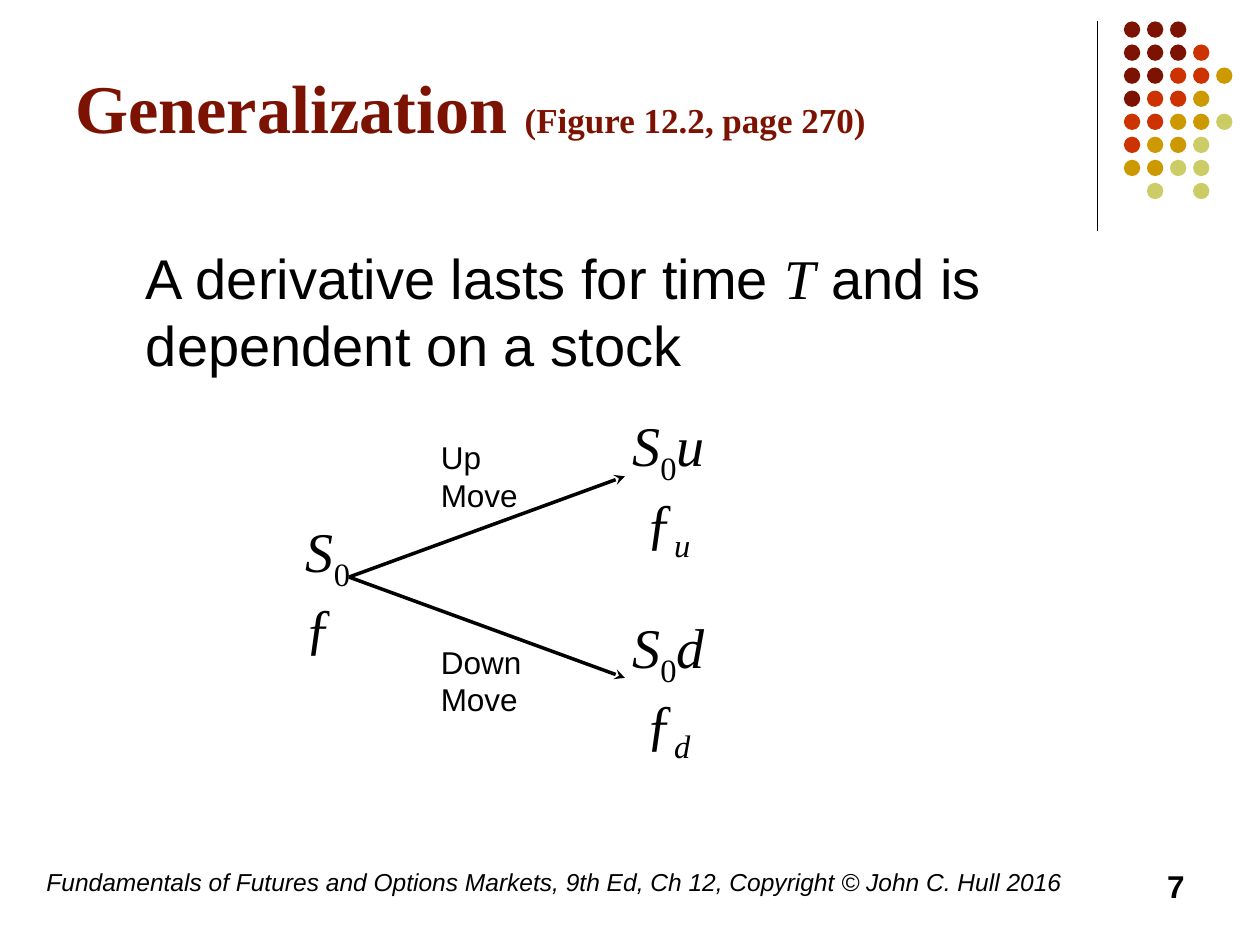
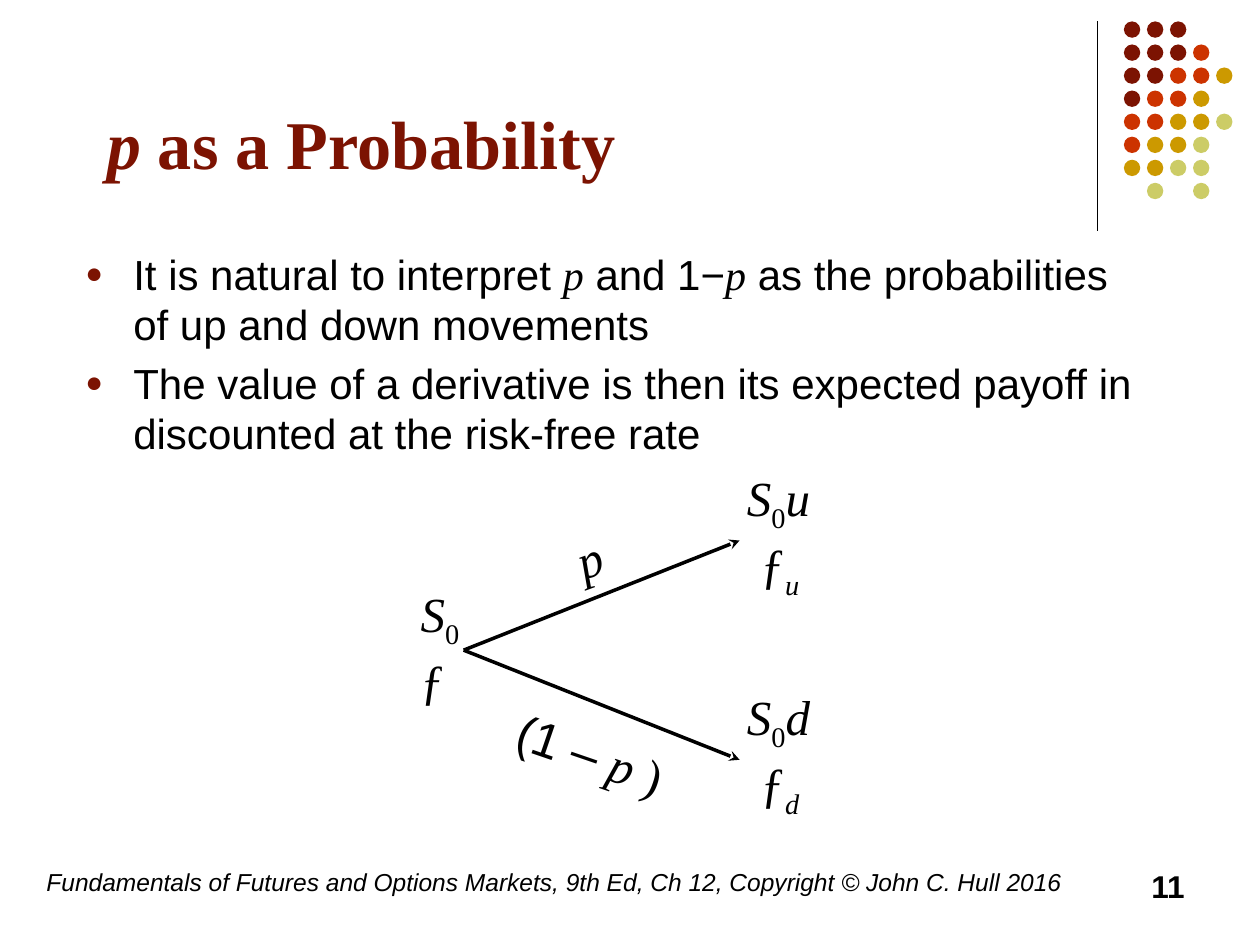
"""Build two binomial-tree slides that share a title style, dot motif and footer."""
from dataclasses import dataclass

from lxml import etree
from pptx import Presentation
from pptx.dml.color import RGBColor
from pptx.enum.shapes import MSO_CONNECTOR, MSO_SHAPE
from pptx.enum.text import MSO_ANCHOR, PP_ALIGN
from pptx.oxml.ns import qn
from pptx.util import Inches, Pt

STRAIGHT = MSO_CONNECTOR.STRAIGHT
OVAL = MSO_SHAPE.OVAL
TOP, MIDDLE, BOTTOM = MSO_ANCHOR.TOP, MSO_ANCHOR.MIDDLE, MSO_ANCHOR.BOTTOM
LEFT, RIGHT = PP_ALIGN.LEFT, PP_ALIGN.RIGHT


@dataclass(frozen=True)
class Theme:
    ink: str = "000000"
    maroon: str = "7C1302"
    red: str = "CC3300"
    gold: str = "CC9900"
    olive: str = "CCCC66"
    sans: str = "Arial"
    serif: str = "Times New Roman"
    title: int = 39
    reference: int = 20
    label: int = 18
    footer: int = 14
    rule: float = 0.75
    branch: float = 2


THEME = Theme()

PLAIN = {"font": THEME.sans}
SERIF = {"font": THEME.serif}
VARIABLE = {"font": THEME.serif, "italic": True}
SUBSCRIPT = {"font": THEME.serif, "lowered": True}
VARIABLE_SUBSCRIPT = {"font": THEME.serif, "italic": True, "lowered": True}
REFERENCE = {"font": THEME.serif, "size": THEME.reference}
SLANTED = {"font": THEME.sans, "italic": True}

FOOTER = ("Fundamentals of Futures and Options Markets, 9th Ed, Ch 12, "
          "Copyright © John C. Hull 2016")

DOT_COLOURS = {"M": THEME.maroon, "R": THEME.red, "G": THEME.gold, "O": THEME.olive}
DOT_ROWS = ["MMM", "MMMR", "MMRRG", "MRRG", "RRGGO", "RGGO", "GGOO", " O O"]
DOT_ORIGIN, DOT_PITCH, DOT_SIZE = (8.92, 0.17), 0.183, 0.13

HANG = 0.38
LEAF_INDENT = 0.11
BRANCH_LENGTH = 2.19

SLIDES = [
    {
        "number": "7",
        "title": [("Generalization ", SERIF), ("(Figure 12.2, page 270)", REFERENCE)],
        "title_at": (0.5, 0.13, 8.25, 1.42),
        "title_anchor": MIDDLE,
        "body": [
            [("A derivative lasts for time ", PLAIN), ("T", VARIABLE),
             (" and is dependent on a stock", PLAIN)],
        ],
        "body_at": (0.68, 1.88, 8.65, 4.82),
        "bulleted": False,
        "size": 32,
        "tree": {"fork": (2.77, 4.58), "spread": 0.8, "size": 32, "root_rise": 0.53,
                 "leaf_rise": 0.57, "root": (0.58, 1.18), "leaf": (0.8, 1.18)},
        "labels": [
            {"runs": [("Up Move", PLAIN)], "at": (3.4, 3.43, 0.92, 0.71),
             "size": THEME.label},
            {"runs": [("Down Move", PLAIN)], "at": (3.4, 5.05, 0.92, 0.71),
             "size": THEME.label},
        ],
    },
    {
        "number": "11",
        "title": [("p", VARIABLE), (" as a Probability", SERIF)],
        "title_at": (0.75, 0.33, 8.5, 1.17),
        "title_anchor": BOTTOM,
        "body": [
            [("It is natural to interpret ", PLAIN), ("p", VARIABLE), (" and 1−", PLAIN),
             ("p", VARIABLE),
             (" as the probabilities of up and down movements", PLAIN)],
            [("The value of a derivative is then its expected payoff in "
              "discounted at the risk-free rate", PLAIN)],
        ],
        "body_at": (0.58, 1.92, 8.58, 3.78),
        "bulleted": True,
        "size": 24,
        "tree": {"fork": (3.68, 5.16), "spread": 0.87, "size": 28, "root_rise": 0.58,
                 "leaf_rise": 0.63, "root": (0.53, 1.04), "leaf": (0.73, 1.04)},
        "labels": [
            {"runs": [("p", VARIABLE)], "at": (4.48, 4.14, 0.4, 0.57),
             "size": 28, "turn": -20, "wrap": False},
            {"runs": [("(1 – ", PLAIN), ("p", VARIABLE), (" )", SERIF)],
             "at": (3.99, 5.7, 1.42, 0.57), "size": 28, "turn": 19},
        ],
    },
]


def add_text(page, at, paragraphs, size, colour=THEME.ink, bold=False,
             anchor=TOP, align=LEFT, wrap=True, turn=0):
    box = page.shapes.add_textbox(*map(Inches, at))
    box.rotation = turn
    frame = box.text_frame
    frame.word_wrap = wrap
    frame.vertical_anchor = anchor
    for index, runs in enumerate(paragraphs):
        para = frame.add_paragraph() if index else frame.paragraphs[0]
        para.alignment = align
        for text, style in runs:
            span = para.add_run()
            span.text = text
            span.font.name = style["font"]
            span.font.size = Pt(style.get("size", size))
            span.font.italic = style.get("italic", False)
            span.font.bold = bold
            span.font.color.rgb = RGBColor.from_string(colour)
            if style.get("lowered"):
                span.font._element.set("baseline", "-25000")
    return frame


def indent(para, margin, first=0.0):
    properties = para._p.get_or_add_pPr()
    properties.set("marL", str(Inches(margin)))
    properties.set("indent", str(Inches(first)))
    return properties


def add_bullet(properties):
    colour = etree.SubElement(properties, qn("a:buClr"))
    etree.SubElement(colour, qn("a:srgbClr"), val=THEME.maroon)
    etree.SubElement(properties, qn("a:buSzPct"), val="70000")
    etree.SubElement(properties, qn("a:buFont"), typeface=THEME.sans)
    etree.SubElement(properties, qn("a:buChar"), char="●")


def add_line(page, start, end, width, arrow=False):
    line = page.shapes.add_connector(STRAIGHT, *map(Inches, (*start, *end)))
    line.line.color.rgb = RGBColor.from_string(THEME.ink)
    line.line.width = Pt(width)
    if arrow:
        etree.SubElement(line.line._get_or_add_ln(), qn("a:tailEnd"), type="stealth")
    etree.SubElement(line._element.spPr, qn("a:effectLst"))


def add_motif(page):
    add_line(page, (8.71, 0.17), (8.71, 1.83), THEME.rule)
    left, top = DOT_ORIGIN
    for row, pattern in enumerate(DOT_ROWS):
        for column, key in enumerate(pattern):
            if key == " ":
                continue
            dot = page.shapes.add_shape(
                OVAL, Inches(left + column * DOT_PITCH), Inches(top + row * DOT_PITCH),
                Inches(DOT_SIZE), Inches(DOT_SIZE))
            dot.shadow.inherit = False
            dot.fill.solid()
            dot.fill.fore_color.rgb = RGBColor.from_string(DOT_COLOURS[key])
            dot.line.fill.background()


def add_body(page, slide):
    frame = add_text(page, slide["body_at"], slide["body"], slide["size"])
    for index, para in enumerate(frame.paragraphs):
        if slide["bulleted"]:
            add_bullet(indent(para, HANG, -HANG))
        else:
            indent(para, HANG)
        if index:
            para.space_before = Pt(0.2 * slide["size"])


def add_tree(page, tree):
    x, y = tree["fork"]
    price = [("S", VARIABLE), ("0", SUBSCRIPT)]
    add_text(page, (x - 0.44, y - tree["root_rise"], *tree["root"]),
             [price, [("ƒ", SERIF)]], tree["size"], wrap=False)
    for move, direction in (("u", -1), ("d", 1)):
        tip = (x + BRANCH_LENGTH, y + direction * tree["spread"])
        add_line(page, (x, y), tip, THEME.branch, arrow=True)
        frame = add_text(
            page, (tip[0] - 0.04, tip[1] - tree["leaf_rise"], *tree["leaf"]),
            [price + [(move, VARIABLE)], [("ƒ", SERIF), (move, VARIABLE_SUBSCRIPT)]],
            tree["size"], wrap=False)
        indent(frame.paragraphs[1], LEAF_INDENT)


def add_footer(page, number):
    add_text(page, (0.27, 6.83, 8.27, 0.5), [[(FOOTER, SLANTED)]], THEME.footer)
    add_text(page, (7.17, 6.83, 2.33, 0.5), [[(number, PLAIN)]], THEME.label,
             bold=True, align=RIGHT)


def main():
    deck = Presentation()
    deck.slide_width, deck.slide_height = Inches(10), Inches(7.5)
    for slide in SLIDES:
        page = deck.slides.add_slide(deck.slide_layouts[6])
        add_motif(page)
        add_text(page, slide["title_at"], [slide["title"]], THEME.title,
                 THEME.maroon, bold=True, anchor=slide["title_anchor"])
        add_body(page, slide)
        add_tree(page, slide["tree"])
        for label in slide["labels"]:
            add_text(page, label["at"], [label["runs"]], label["size"],
                     wrap=label.get("wrap", True), turn=label.get("turn", 0))
        add_footer(page, slide["number"])
    deck.save("out.pptx")


if __name__ == "__main__":
    main()
